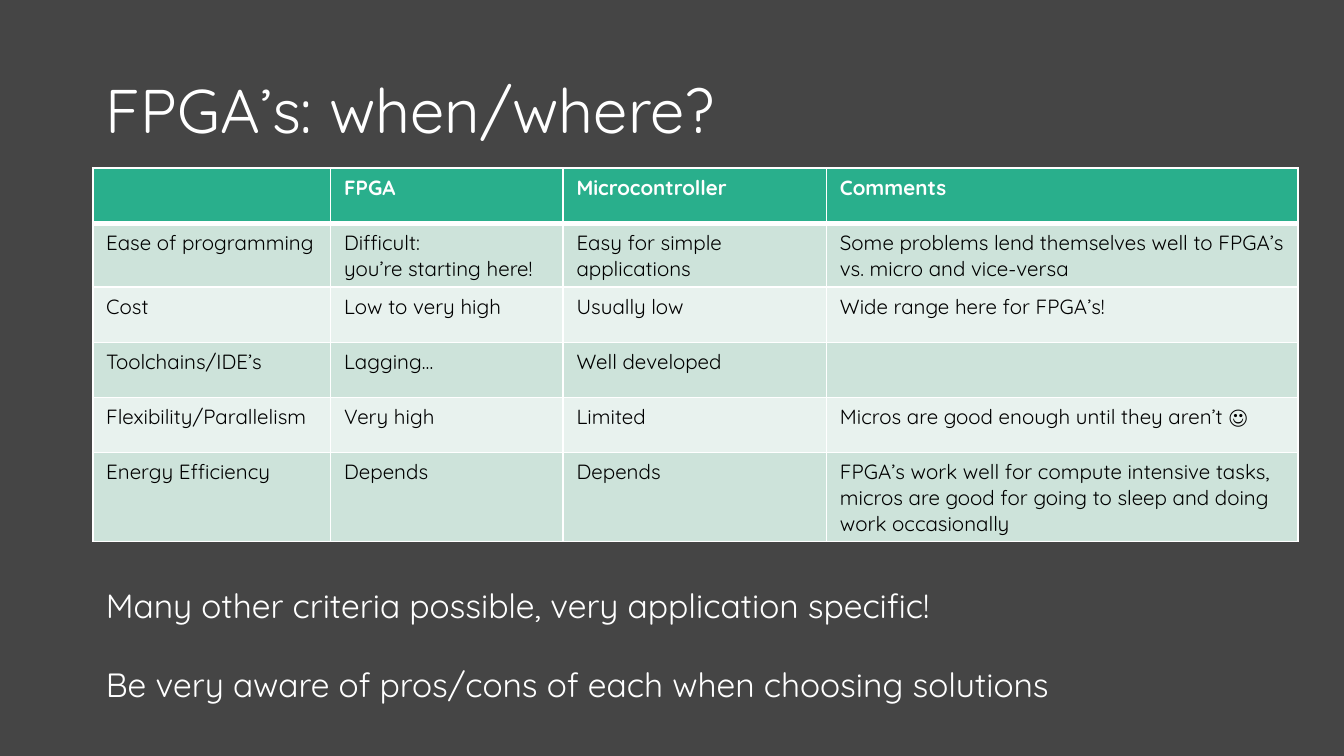
from lxml.etree import SubElement
from pptx import Presentation
from pptx.dml.color import RGBColor
from pptx.enum.text import MSO_ANCHOR as ANCHOR
from pptx.oxml.ns import qn
from pptx.util import Inches, Pt

FONT = "Quicksand"
COLORS = {
    "background": "454545",
    "white": "FFFFFF",
    "black": "000000",
    "header": "29AF8C",
    "band_dark": "CDE3DA",
    "band_light": "E8F2EE",
}


def add_run(p, text, size, color, bold=False):
    r = p.add_run()
    r.text = text
    r.font.name = FONT
    r.font.size = Pt(size)
    r.font.bold = bold
    r.font.color.rgb = RGBColor.from_string(COLORS[color])


def set_borders(cell, bottom):
    tc_pr = cell._tc.get_or_add_tcPr()
    for i, (side, width) in enumerate([("L", 1), ("R", 1), ("T", 1), ("B", bottom)]):
        ln = SubElement(tc_pr, qn(f"a:ln{side}"), w=str(Pt(width)))
        fill = SubElement(ln, qn("a:solidFill"))
        SubElement(fill, qn("a:srgbClr"), val=COLORS["white"])
        tc_pr.insert(i, ln)  # borders come before the cell fill


# Widescreen slide, 16:9
prs = Presentation()
prs.slide_width, prs.slide_height = Inches(10), Inches(10 * 9 / 16)
slide = prs.slides.add_slide(prs.slide_layouts[6])
slide.background.fill.solid()
slide.background.fill.fore_color.rgb = RGBColor.from_string(COLORS["background"])

# Title
sp = slide.shapes.add_textbox(Inches(0.69), Inches(0.3), Inches(8.62), Inches(1.09))
tf = sp.text_frame
tf.word_wrap = True
tf.vertical_anchor = ANCHOR.MIDDLE
p = tf.paragraphs[0]
p.line_spacing = 0.9
add_run(p, "FPGA’s: when/where?", 33, "white")

# Comparison table
rows = [
    ["", "FPGA", "Microcontroller", "Comments"],
    ["Ease of programming", "Difficult:\nyou’re starting here!",
     "Easy for simple applications",
     "Some problems lend themselves well to FPGA’s vs. micro and vice-versa"],
    ["Cost", "Low to very high", "Usually low", "Wide range here for FPGA’s!"],
    ["Toolchains/IDE’s", "Lagging…", "Well developed", ""],
    ["Flexibility/Parallelism", "Very high", "Limited",
     "Micros are good enough until they aren’t ☺"],
    ["Energy Efficiency", "Depends", "Depends",
     "FPGA’s work well for compute intensive tasks, micros are good for "
     "going to sleep and doing work occasionally"],
]
col_widths = [1.77, 1.73, 1.96, 3.51]
row_height = 0.41
table = slide.shapes.add_table(
    len(rows), len(col_widths), Inches(0.69), Inches(1.25),
    Inches(sum(col_widths)), Inches(row_height * len(rows))).table
for col, width in zip(table.columns, col_widths):
    col.width = Inches(width)

for i, row in enumerate(rows):
    table.rows[i].height = Inches(row_height)
    is_header = i == 0
    band = "header" if is_header else "band_dark" if i % 2 else "band_light"
    for j, text in enumerate(row):
        cell = table.cell(i, j)
        cell.margin_bottom = Inches(0.06)
        cell.fill.solid()
        cell.fill.fore_color.rgb = RGBColor.from_string(COLORS[band])
        set_borders(cell, bottom=3 if is_header else 1)
        tf = cell.text_frame
        for k, line in enumerate(text.splitlines()):
            p = tf.add_paragraph() if k else tf.paragraphs[0]
            add_run(p, line, 11, "white" if is_header else "black", is_header)

# Closing remarks
remarks = [
    "Many other criteria possible, very application specific!",
    "Be very aware of pros/cons of each when choosing solutions",
]
sp = slide.shapes.add_textbox(Inches(0.69), Inches(4.3), Inches(8.74), Inches(1.01))
tf = sp.text_frame
tf.word_wrap = True
for k, remark in enumerate(remarks):
    p = tf.add_paragraph() if k else tf.paragraphs[0]
    p.space_before = Pt(21 if k else 0)
    add_run(p, remark, 18, "white")

prs.save("out.pptx")
